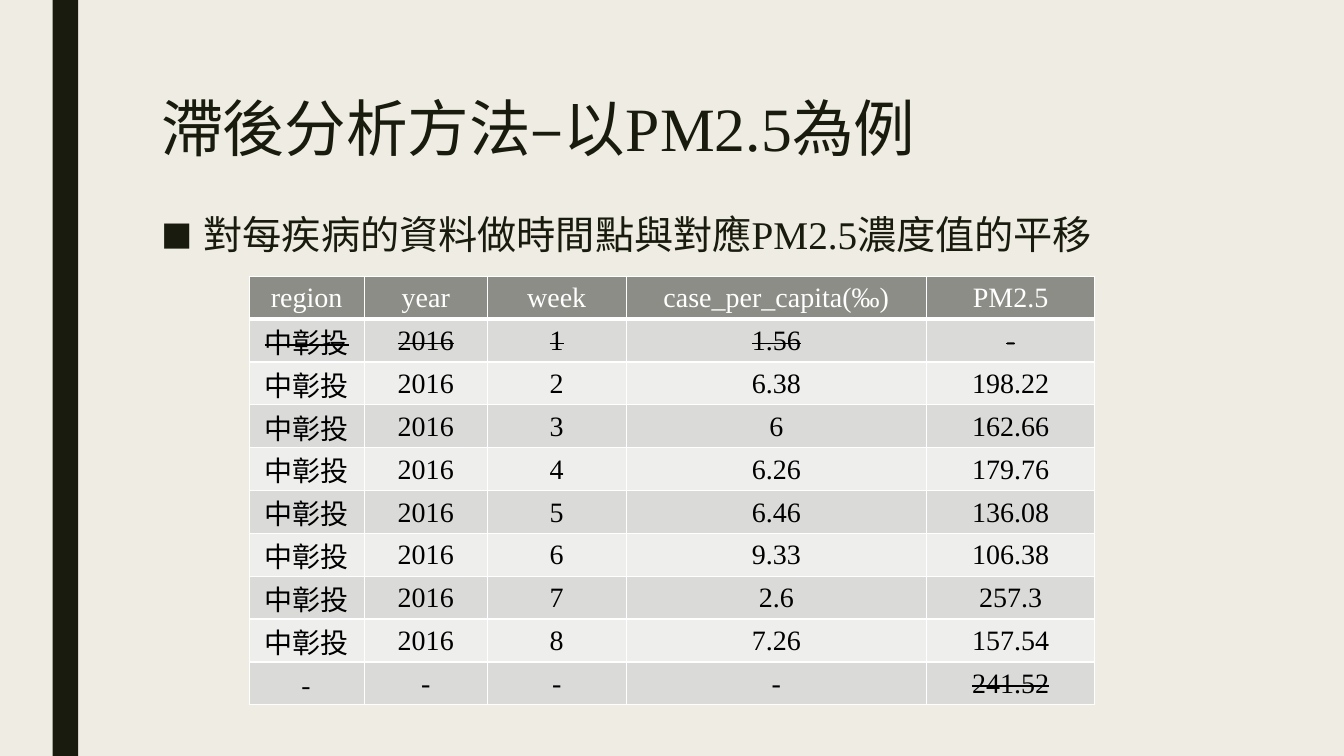
from dataclasses import dataclass

from lxml.etree import SubElement
from pptx import Presentation
from pptx.dml.color import RGBColor
from pptx.enum.shapes import MSO_SHAPE as Shape
from pptx.enum.text import MSO_ANCHOR as Anchor, MSO_AUTO_SIZE as AutoSize, PP_ALIGN as Align
from pptx.oxml.ns import qn
from pptx.util import Cm, Pt

CJK, LATIN = "Noto Sans CJK SC", "Times New Roman"
INK, PAPER, WHITE, BLACK = "191B0E", "EFEDE3", "FFFFFF", "000000"
HEADER_FILL, BAND_FILLS = "8C8D86", ("DADBD9", "EEEEED")

HEADINGS = ("region", "year", "week", "case_per_capita(‰)", "PM2.5")
COLUMN_WIDTHS = (2.9, 3.1, 3.5, 7.57, 4.24)
ROW_HEIGHT = 1.08
WEEKLY_CASES = ("1.56", "6.38", "6", "6.26", "6.46", "9.33", "2.6", "7.26", "-")
SHIFTED_PM25 = ("-", "198.22", "162.66", "179.76", "136.08", "106.38",
                "257.3", "157.54", "241.52")


@dataclass
class Phrase:
    text: str
    typeface: str


@dataclass
class CellStyle:
    fill: str
    ink: str
    typeface: str = LATIN
    struck: bool = False
    top: float = 1
    bottom: float = 1


def colour(value: str) -> RGBColor:
    return RGBColor.from_string(value)


def set_typeface(font, typeface: str) -> None:
    """Use one typeface for both Latin and East Asian characters."""
    font.name = typeface
    font._rPr.find(qn("a:latin")).addnext(
        SubElement(font._rPr, qn("a:ea"), typeface=typeface))


def place(shape, left: float, top: float, width: float, height: float) -> None:
    shape.left, shape.top, shape.width, shape.height = map(Cm, (left, top, width, height))


def write_phrases(paragraph, phrases: list[Phrase], size: float, spacing: float) -> None:
    paragraph.alignment = Align.LEFT
    paragraph.line_spacing = spacing
    paragraph.font.size = Pt(size)
    paragraph.font.color.rgb = colour(INK)
    for phrase in phrases:
        run = paragraph.add_run()
        run.text = phrase.text
        set_typeface(run.font, phrase.typeface)


def add_square_bullet(paragraph, indent: float) -> None:
    properties = paragraph._p.get_or_add_pPr()
    properties.set("marL", str(Cm(indent)))
    properties.set("indent", str(-Cm(indent)))
    SubElement(properties, qn("a:buSzPct"), val="80000")
    SubElement(properties, qn("a:buFont"), typeface=CJK)
    SubElement(properties, qn("a:buChar"), char="■")


def add_borders(cell, top: float, bottom: float) -> None:
    properties = cell._tc.get_or_add_tcPr()
    for side, width in (("L", 1), ("R", 1), ("T", top), ("B", bottom)):
        line = SubElement(properties, qn(f"a:ln{side}"), w=str(Pt(width)))
        SubElement(SubElement(line, qn("a:solidFill")), qn("a:srgbClr"), val=WHITE)


def fill_cell(cell, text: str, style: CellStyle) -> None:
    add_borders(cell, style.top, style.bottom)
    cell.fill.solid()
    cell.fill.fore_color.rgb = colour(style.fill)
    cell.vertical_anchor = Anchor.MIDDLE
    cell.margin_left = cell.margin_top = cell.margin_right = Cm(0.03)
    cell.margin_bottom = 0
    cell.text = text
    paragraph = cell.text_frame.paragraphs[0]
    paragraph.alignment = Align.CENTER
    font = paragraph.font
    font.size = Pt(20)
    font.bold = False
    font.color.rgb = colour(style.ink)
    set_typeface(font, style.typeface)
    if style.struck:
        paragraph.runs[0]._r.get_or_add_rPr().set("strike", "sngStrike")


def add_lag_table(slide) -> None:
    """Table of weekly cases beside PM2.5 values moved down one week."""
    records = []
    last = len(WEEKLY_CASES)
    for week, (cases, pm25) in enumerate(zip(WEEKLY_CASES, SHIFTED_PM25), 1):
        known = ("中彰投", "2016", str(week)) if week < last else ("-",) * 3
        records.append((*known, cases, pm25))

    table = slide.shapes.add_table(
        last + 1, len(HEADINGS), Cm(6.28), Cm(6.96),
        Cm(sum(COLUMN_WIDTHS)), Cm(ROW_HEIGHT * (last + 1))).table
    for column, width in zip(table.columns, COLUMN_WIDTHS):
        column.width = Cm(width)
    for row in table.rows:
        row.height = Cm(ROW_HEIGHT)

    for column, heading in enumerate(HEADINGS):
        fill_cell(table.cell(0, column), heading, CellStyle(HEADER_FILL, WHITE, bottom=3))
    for week, record in enumerate(records, 1):
        for column, value in enumerate(record):
            unmatched = week == 1 or (week == last and value != "-")
            fill_cell(table.cell(week, column), value, CellStyle(
                BAND_FILLS[(week - 1) % 2], BLACK,
                typeface=CJK if column == 0 else LATIN,
                struck=unmatched, top=3 if week == 1 else 1))


def main() -> None:
    deck = Presentation()
    deck.slide_width, deck.slide_height = Cm(33.87), Cm(19.05)
    slide = deck.slides.add_slide(deck.slide_layouts[1])
    slide.background.fill.solid()
    slide.background.fill.fore_color.rgb = colour(PAPER)

    sidebar = slide.shapes.add_shape(Shape.RECTANGLE, Cm(1.33), 0, Cm(0.64), deck.slide_height)
    sidebar.shadow.inherit = False
    sidebar.fill.solid()
    sidebar.fill.fore_color.rgb = colour(INK)
    sidebar.line.fill.background()

    title, method = slide.placeholders
    place(title, 3.81, 1.9, 28.78, 2.82)
    title.text_frame.auto_size = AutoSize.NONE
    title.text_frame.vertical_anchor = Anchor.MIDDLE
    write_phrases(title.text_frame.paragraphs[0], [
        Phrase("滯後分析方法–以", CJK), Phrase("PM2.5", LATIN), Phrase("為例", CJK)], 44, 0.89)

    place(method, 3.81, 5.26, 28.78, 12.95)
    method.text_frame.auto_size = AutoSize.NONE
    shift_step = method.text_frame.paragraphs[0]
    add_square_bullet(shift_step, 1.07)
    shift_step.space_before = Pt(0)
    shift_step.space_after = Pt(2)
    write_phrases(shift_step, [
        Phrase("對每疾病的資料做時間點與對應", CJK), Phrase("PM2.5", LATIN),
        Phrase("濃度值的平移", CJK)], 28, 0.94)

    add_lag_table(slide)
    deck.save("out.pptx")


if __name__ == "__main__":
    main()
